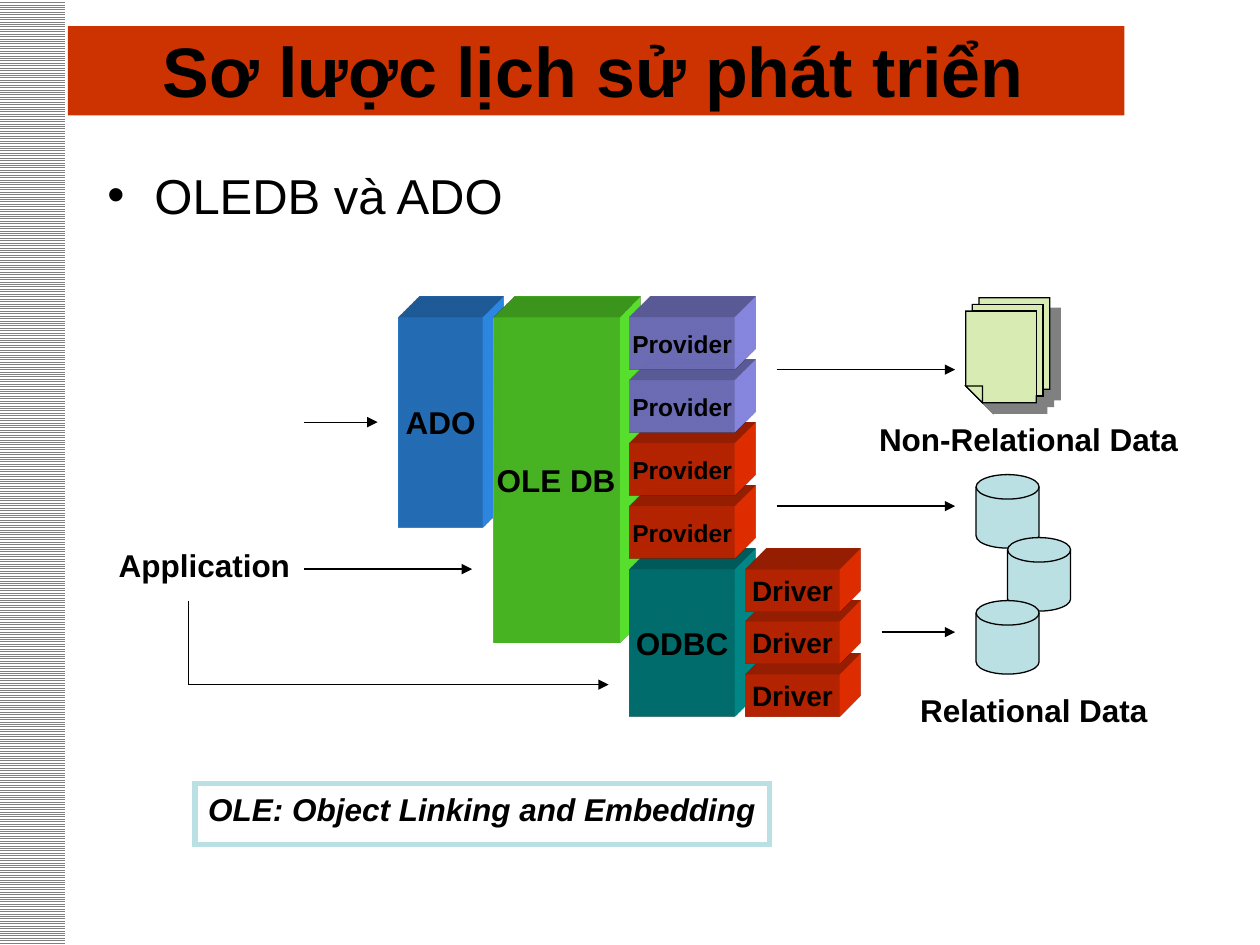
from lxml import etree
from pptx import Presentation
from pptx import util as u
from pptx.dml import color
from pptx.enum import dml, shapes, text
from pptx.oxml import ns

Cm, Pt = u.Cm, u.Pt
UNIT = 2.54 / 12  # diagram grid step in cm
FONT = "Arial"
COLORS = {
    "ink": "000000", "paper": "FFFFFF", "banner": "CC3300", "stripe": "808080",
    "ado": "3399FF", "oledb": "66FF33", "odbc": "009999", "red": "FF3300",
    "violet": "9999FF", "sheet": "D8EBB3", "disk": "BBE0E3",
}


def rgb(name):
    return color.RGBColor.from_string(COLORS[name])


def add_xml(parent, tag, **attrs):
    return etree.SubElement(parent, ns.qn(tag), **attrs)


def style(sp, fill=None, line=None, width=0.75):
    sp.shadow.inherit = False
    if fill:
        sp.fill.solid()
        sp.fill.fore_color.rgb = rgb(fill)
    else:
        sp.fill.background()
    if line:
        sp.line.color.rgb = rgb(line)
        sp.line.width = Pt(width)
        add_xml(sp.line._get_or_add_ln(), "a:miter", lim="800000")
    else:
        sp.line.fill.background()


def extrude(sp, fill):
    """Give a flat shape depth towards the upper right."""
    spPr = sp.element.spPr
    scene = add_xml(spPr, "a:scene3d")
    add_xml(scene, "a:camera", prst="legacyObliqueTopRight")
    add_xml(scene, "a:lightRig", rig="legacyFlat3", dir="b")
    solid = add_xml(spPr, "a:sp3d", extrusionH=str(Cm(1.2)), prstMaterial="legacyMatte")
    for bevel in ("a:bevelT", "a:bevelB"):
        add_xml(solid, bevel, w="13500", h="13500", prst="angle")
    add_xml(add_xml(solid, "a:extrusionClr"), "a:srgbClr", val=COLORS[fill])


def write(tf, words, size, bold=True, italic=False, align=text.PP_ALIGN.CENTER):
    p = tf.paragraphs[0]
    p.alignment = align
    r = p.add_run()
    r.text = words
    f = r.font
    f.name, f.size, f.bold, f.italic = FONT, Pt(size), bold, italic
    f.color.rgb = rgb("ink")
    return p


def place(sp, x, y, w, h):
    sp.left, sp.top, sp.width, sp.height = Cm(x), Cm(y), Cm(w), Cm(h)


class Grid:
    """Draws on a slide in grid steps counted from the corner of a box."""

    def __init__(self, s, left, top):
        self.s, self.left, self.top = s, left, top

    def x(self, n):
        return Cm(self.left + n * UNIT)

    def y(self, n):
        return Cm(self.top + n * UNIT)

    def box(self, x, y, w, h):
        return self.x(x), self.y(y), Cm(w * UNIT), Cm(h * UNIT)

    def block(self, words, fill, size, x, y, w, h):
        sp = self.s.shapes.add_shape(shapes.MSO_SHAPE.RECTANGLE, *self.box(x, y, w, h))
        style(sp, fill)
        extrude(sp, fill)
        tf = sp.text_frame
        tf.word_wrap = False
        tf.vertical_anchor = text.MSO_ANCHOR.MIDDLE
        write(tf, words, size)

    def label(self, words, x, y, w):
        tf = self.s.shapes.add_textbox(*self.box(x, y, w, 4.8)).text_frame
        tf.word_wrap = True
        write(tf, words, 18)

    def line(self, x1, y1, x2, y2, arrow=True):
        c = self.s.shapes.add_connector(
            shapes.MSO_CONNECTOR.STRAIGHT, self.x(x1), self.y(y1), self.x(x2), self.y(y2))
        c.line.color.rgb = rgb("ink")
        c.line.width = Pt(0.75)
        if arrow:
            add_xml(c.line._get_or_add_ln(), "a:tailEnd", type="triangle")
        add_xml(c.element.spPr, "a:effectLst")


def add_frame(s):
    """Striped left edge and the banner behind the title."""
    edge = s.shapes.add_shape(shapes.MSO_SHAPE.RECTANGLE, 0, 0, Cm(1.32), Cm(19.05))
    style(edge)
    edge.fill.patterned()
    edge.fill.pattern = dml.MSO_PATTERN.LIGHT_HORIZONTAL
    edge.fill.fore_color.rgb = rgb("stripe")
    edge.fill.back_color.rgb = rgb("paper")
    banner = s.shapes.add_shape(
        shapes.MSO_SHAPE.RECTANGLE, Cm(1.37), Cm(0.53), Cm(21.3), Cm(1.8))
    style(banner, "banner")


def fill_title(sp, words):
    place(sp, 1.27, 0.47, 21.38, 1.88)
    sp.element.getparent().append(sp.element)  # in front of the banner
    tf = sp.text_frame
    tf.auto_size = text.MSO_AUTO_SIZE.NONE
    tf.vertical_anchor = text.MSO_ANCHOR.MIDDLE
    write(tf, words, 40)


def fill_body(sp, words):
    place(sp, 1.91, 2.97, 22.71, 14.48)
    tf = sp.text_frame
    tf.auto_size = text.MSO_AUTO_SIZE.NONE
    tf.vertical_anchor = text.MSO_ANCHOR.TOP
    pPr = tf.paragraphs[0]._p.get_or_add_pPr()
    pPr.set("marL", str(Cm(0.95)))
    pPr.set("indent", str(-Cm(0.95)))
    add_xml(pPr, "a:buFont", typeface=FONT)
    add_xml(pPr, "a:buChar", char="•")
    p = write(tf, words, 28, bold=False, align=text.PP_ALIGN.JUSTIFY)
    p.line_spacing, p.space_before, p.space_after = 1.2, Pt(0), Pt(3)


def add_layers(g):
    """Data access layers, placed from back to front."""
    g.block("ADO", "ado", 18, 28, 2, 8, 20)
    g.block("OLE DB", "oledb", 18, 37, 2, 12, 31)
    g.block("ODBC", "odbc", 18, 50, 26, 10, 14)
    for row in (2, 1, 0):
        g.block("Driver", "red", 16, 61, 26 + 5 * row, 9, 4)
    for row in (3, 2, 1, 0):
        g.block("Provider", "red" if row > 1 else "violet", 14, 50, 2 + 6 * row, 10, 5)


def add_documents(g, x, y):
    """One outline of three stacked sheets with a folded corner and a shadow."""
    r, b, a, fold = 8, 10, 0.64, 1.6
    r1, r2, b1, b2 = r - a, r - 2 * a, b - a, b - 2 * a
    contours = [
        [(0, b - fold), (0, 2 * a), (a, 2 * a), (a, a), (2 * a, a), (2 * a, 0), (r, 0),
         (r, b2), (r1, b2), (r1, b1), (r2, b1), (r2, b), (fold, b)],
        [(2 * a, a), (r1, a), (r1, b1), (r2, b1), (r2, 2 * a), (a, 2 * a), (a, a)],
        [(0, b - fold), (fold, b - fold), (fold, b)],
    ]
    fb = None
    for contour in contours:
        pts = [(g.x(x + px), g.y(y + py)) for px, py in contour]
        if fb:
            fb.move_to(*pts[0])
        else:
            fb = g.s.shapes.build_freeform(*pts[0], scale=1.0)
        fb.add_line_segments(pts[1:], close=True)
    sp = fb.convert_to_shape()
    style(sp, "sheet", "ink")
    # A path for each contour, so that overlaps stay filled
    whole = sp.element.spPr.find(".//" + ns.qn("a:path"))
    paths = whole.getparent()
    for step in list(whole):
        if step.tag == ns.qn("a:moveTo"):
            part = add_xml(paths, "a:path", **dict(whole.attrib))
        part.append(step)
    paths.remove(whole)
    effects = sp.element.spPr.find(ns.qn("a:effectLst"))
    shadow = add_xml(effects, "a:outerShdw", dist=str(Pt(8.5)), dir="2700000",
                     algn="ctr", rotWithShape="0")
    add_xml(shadow, "a:srgbClr", val=COLORS["stripe"])


def add_stores(g):
    add_documents(g, 82, 0.15)
    g.label("Non-Relational Data", 72, 11.25, 32)
    for x, y in ((83, 17), (86, 23), (83, 29)):
        disk = g.s.shapes.add_shape(
            shapes.MSO_SHAPE.FLOWCHART_MAGNETIC_DISK, *g.box(x, y, 6, 7))
        style(disk, "disk", "ink")
    g.label("Relational Data", 75, 37.05, 27)


def add_flows(g):
    g.label("Application", 0, 23.25, 19)
    g.line(8, 29, 8, 37, arrow=False)
    for x1, x2, y in ((19, 26, 12), (19, 35, 26), (8, 48, 37),
                      (64, 81, 7), (64, 81, 20), (74, 81, 32)):
        g.line(x1, y, x2, y)


def add_note(s, x, y, w, h):
    sp = s.shapes.add_shape(shapes.MSO_SHAPE.RECTANGLE, Cm(x), Cm(y), Cm(w), Cm(h))
    style(sp, line="disk", width=3)
    tf = sp.text_frame
    tf.word_wrap = False
    tf.vertical_anchor = text.MSO_ANCHOR.TOP
    write(tf, "OLE: Object Linking and Embedding", 18, italic=True)


def main():
    prs = Presentation()
    prs.slide_width, prs.slide_height = Cm(25.4), Cm(19.05)
    s = prs.slides.add_slide(prs.slide_layouts[1])
    add_frame(s)
    fill_body(s.placeholders[1], "OLEDB và ADO")
    g = Grid(s, 2.11, 5.97)
    add_layers(g)
    add_stores(g)
    add_flows(g)
    add_note(s, 3.93, 15.8, 11.58, 1.22)
    fill_title(s.shapes.title, "Sơ lược lịch sử phát triển")
    prs.save("out.pptx")


if __name__ == "__main__":
    main()
